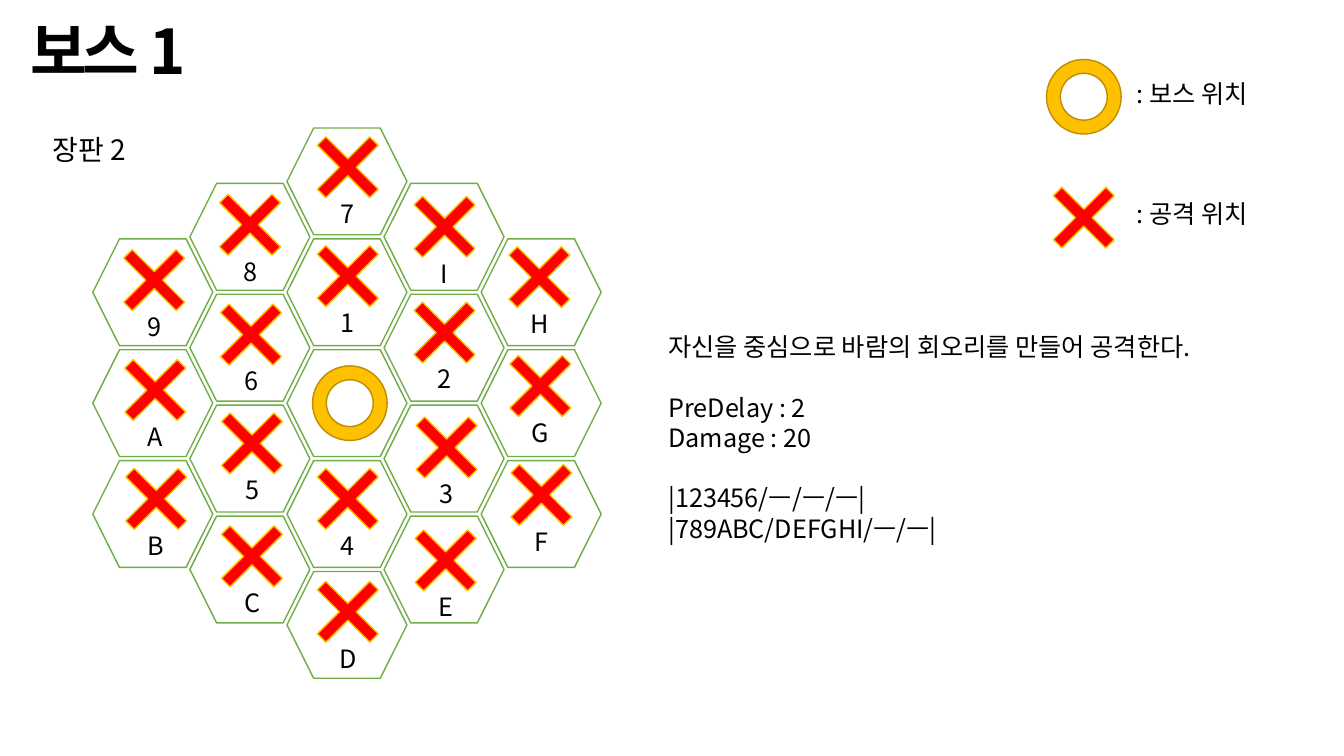
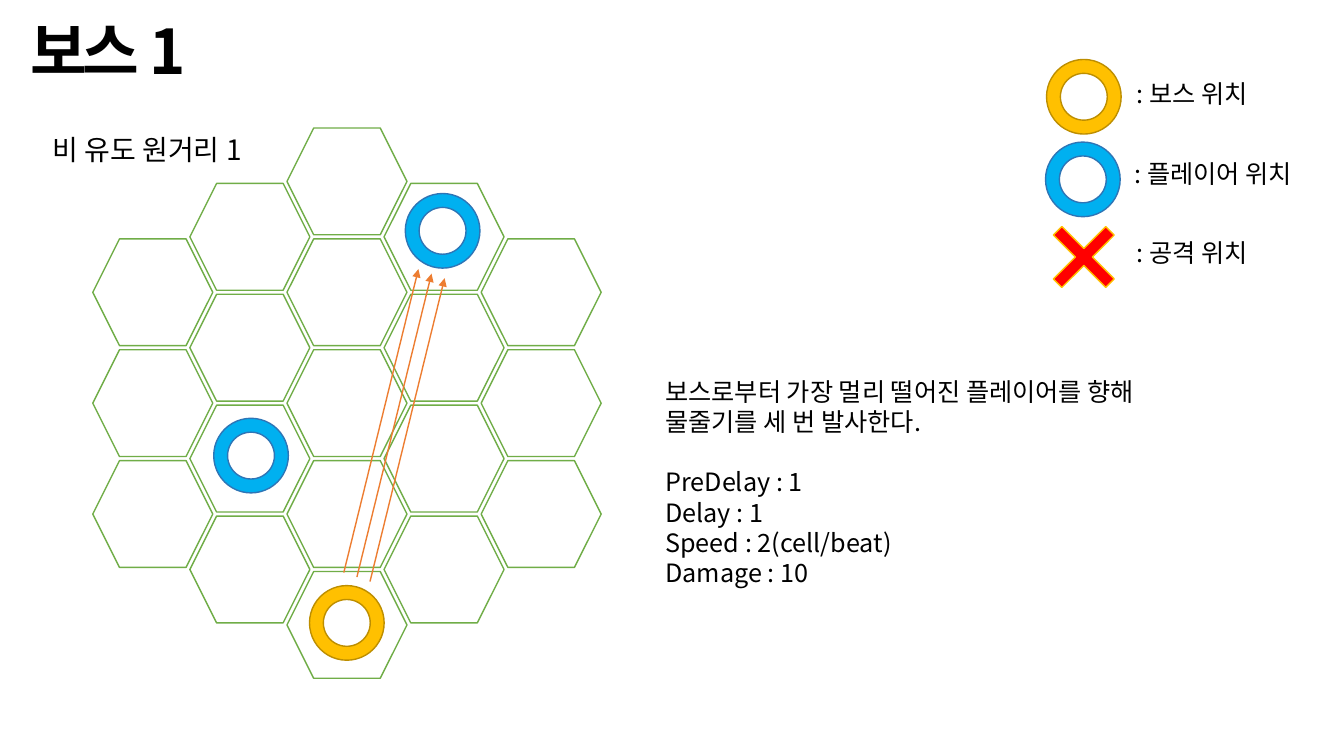
import pptx
import pptx.dml.color
import pptx.enum.shapes
import pptx.enum.text
import pptx.oxml.ns
import pptx.util
from lxml import etree
from pptx.util import Inches

SHAPE = pptx.enum.shapes.MSO_SHAPE
ALIGN = pptx.enum.text.PP_ALIGN
ANCHOR = pptx.enum.text.MSO_ANCHOR
qn = pptx.oxml.ns.qn

FONT = "Noto Sans CJK KR"
BLACK, WHITE, GREEN, ORANGE, RED = "000000", "FFFFFF", "70AD47", "ED7D31", "FF0000"
BOSS = ("FFC000", "BD8E00")
PLAYER = ("00B0F0", "2E75B6")
ATTACK = (RED, "FFC000")
RING_SIZE, CROSS_SIZE = 0.74, 1
LEGEND_LEFT = 11.12

# Cell name: left and top of its attack cross
ATTACKS = {
    "1": (2.95, 2.24), "2": (3.91, 2.8), "3": (3.93, 3.94),
    "4": (2.95, 4.45), "5": (2, 3.9), "6": (1.99, 2.82),
    "7": (2.95, 1.16), "8": (1.98, 1.73), "9": (1.03, 2.28),
    "A": (1.04, 3.37), "B": (1.05, 4.45), "C": (2, 5.02),
    "D": (2.95, 5.57), "E": (3.92, 5.06), "F": (4.87, 4.41),
    "G": (4.86, 3.33), "H": (4.85, 2.25), "I": (3.91, 1.75),
}


def color(value):
    """Turn a hex string into a colour."""
    return pptx.dml.color.RGBColor.from_string(value)


def style_paragraph(paragraph, size, bold=False, spacing=None):
    """Set the shared font on a paragraph, for Latin and Korean text."""
    font = paragraph.font
    font.size = pptx.util.Pt(size)
    font.bold = bold
    font.color.rgb = color(BLACK)
    font.name = FONT
    properties = paragraph._p.get_or_add_pPr().find(qn("a:defRPr"))
    etree.SubElement(properties, qn("a:ea"), typeface=FONT)
    if spacing is not None:
        properties.set("spc", str(spacing * 100))


def add_text(shapes, left, top, width, height, groups, size=18, align=ALIGN.LEFT):
    """Add groups of lines, with one line of space between groups."""
    frame = shapes.add_textbox(
        Inches(left), Inches(top), Inches(width), Inches(height)).text_frame
    frame.word_wrap = True
    line_height = pptx.util.Pt(size * 1.2)
    paragraph = None
    for group in groups:
        for index, line in enumerate(group):
            first = paragraph is None
            paragraph = frame.paragraphs[0] if first else frame.add_paragraph()
            paragraph.text = line
            paragraph.alignment = align
            paragraph.line_spacing = line_height
            if index == 0 and not first:
                paragraph.space_before = line_height
            style_paragraph(paragraph, size)


def add_title(slide, text):
    """Add the bold slide title."""
    frame = slide.shapes.add_textbox(
        Inches(0.2), Inches(-0.18), Inches(11.5), Inches(1.45)).text_frame
    frame.word_wrap = True
    frame.vertical_anchor = ANCHOR.MIDDLE
    paragraph = frame.paragraphs[0]
    paragraph.text = text
    paragraph.line_spacing = 0.9
    style_paragraph(paragraph, 44, bold=True, spacing=-3)


def add_outlined(shapes, kind, left, top, width, height, colors, adjustment=None):
    """Add a preset shape with a fill and a thin outline."""
    shape = shapes.add_shape(
        kind, Inches(left), Inches(top), Inches(width), Inches(height))
    shape.shadow.inherit = False
    fill, line = colors
    shape.fill.solid()
    shape.fill.fore_color.rgb = color(fill)
    shape.line.color.rgb = color(line)
    shape.line.width = pptx.util.Pt(1)
    if adjustment is not None:
        shape.adjustments[0] = adjustment


def add_ring(slide, left, top, colors):
    """Mark the place of the boss or a player."""
    add_outlined(slide.shapes, SHAPE.DONUT, left, top, RING_SIZE, RING_SIZE,
                 colors, 0.186)


def add_cross(shapes, left, top):
    """Mark the place of an attack."""
    add_outlined(shapes, SHAPE.MATH_MULTIPLY, left, top, CROSS_SIZE, CROSS_SIZE,
                 ATTACK, 0.119)


def add_attack(slide, name, left, top):
    """Group a cross with the name of its cell below."""
    shapes = slide.shapes.add_group_shape().shapes
    add_cross(shapes, left, top)
    width = 0.4
    add_text(shapes, left + (CROSS_SIZE - width) / 2, top + 0.76, width, 0.4,
             [[name]], align=ALIGN.CENTER)


def add_board(slide):
    """Draw the five columns of hexagon cells."""
    for column in range(5):
        distance = abs(column - 2)
        for row in range(5 - distance):
            add_outlined(slide.shapes, SHAPE.HEXAGON, 0.92 + 0.963 * column,
                         1.27 + 0.55 * distance + 1.1 * row, 1.19, 1.06,
                         (WHITE, GREEN))


def add_legend_text(slide, top, text, left=LEGEND_LEFT):
    """Explain a legend mark."""
    add_text(slide.shapes, left, top, 2.2, 0.4, [[" : " + text]])


def add_arrow(slide, start, end):
    """Draw a thin arrow between two points."""
    connector = slide.shapes.add_connector(
        pptx.enum.shapes.MSO_CONNECTOR.STRAIGHT,
        *(Inches(value) for value in (*start, *end)))
    connector.line.color.rgb = color(ORANGE)
    connector.line.width = pptx.util.Pt(1)
    etree.SubElement(connector.line._get_or_add_ln(), qn("a:tailEnd"), type="triangle")
    etree.SubElement(connector._element.spPr, qn("a:effectLst"))


def add_pattern_slide(presentation, caption, boss, attack_legend_top):
    """Add a slide with title, caption, board, boss and the common legend."""
    slide = presentation.slides.add_slide(presentation.slide_layouts[6])
    add_title(slide, "보스 1")
    add_text(slide.shapes, 0.42, 1.27, 3, 0.44, [[caption]], size=20)
    add_board(slide)
    add_ring(slide, *boss, BOSS)
    add_ring(slide, 10.38, 0.59, BOSS)
    add_legend_text(slide, 0.73, "보스 위치")
    add_cross(slide.shapes, 10.25, attack_legend_top)
    add_legend_text(slide, attack_legend_top + 0.26, "공격 위치")
    return slide


def add_floor_slide(presentation):
    """Build the slide of the floor attack."""
    slide = add_pattern_slide(presentation, "장판 2", (3.1, 3.63), 1.66)
    add_text(slide.shapes, 6.53, 3.24, 6.01, 2.22, [
        ["자신을 중심으로 바람의 회오리를 만들어 공격한다."],
        ["PreDelay : 2", "Damage : 20"],
        ["|123456/ㅡ/ㅡ/ㅡ|", "|789ABC/DEFGHI/ㅡ/ㅡ|"],
    ])
    for name, place in ATTACKS.items():
        add_attack(slide, name, *place)


def add_ranged_slide(presentation):
    """Build the slide of the ranged attack."""
    slide = add_pattern_slide(presentation, "비 유도 원거리 1", (3.07, 5.81), 2.05)
    add_text(slide.shapes, 6.5, 3.68, 5.45, 2.22, [
        ["보스로부터 가장 멀리 떨어진 플레이어를 향해", "물줄기를 세 번 발사한다."],
        ["PreDelay : 1", "Delay : 1", "Speed : 2(cell/beat)", "Damage : 10"],
    ])
    for left, top in ((4.02, 1.92), (10.37, 1.41), (2.12, 4.15)):
        add_ring(slide, left, top, PLAYER)
    add_legend_text(slide, 1.52, "플레이어 위치", left=11.1)
    for index in range(3):
        x, y = 3.41 + 0.13 * index, 5.68 + 0.045 * index
        add_arrow(slide, (x, y), (x + 0.74, y - 3.01))


def main():
    """Build and save the presentation."""
    presentation = pptx.Presentation()
    presentation.slide_width = Inches(13.33)
    presentation.slide_height = Inches(7.5)
    add_floor_slide(presentation)
    add_ranged_slide(presentation)
    presentation.save("out.pptx")


main()
